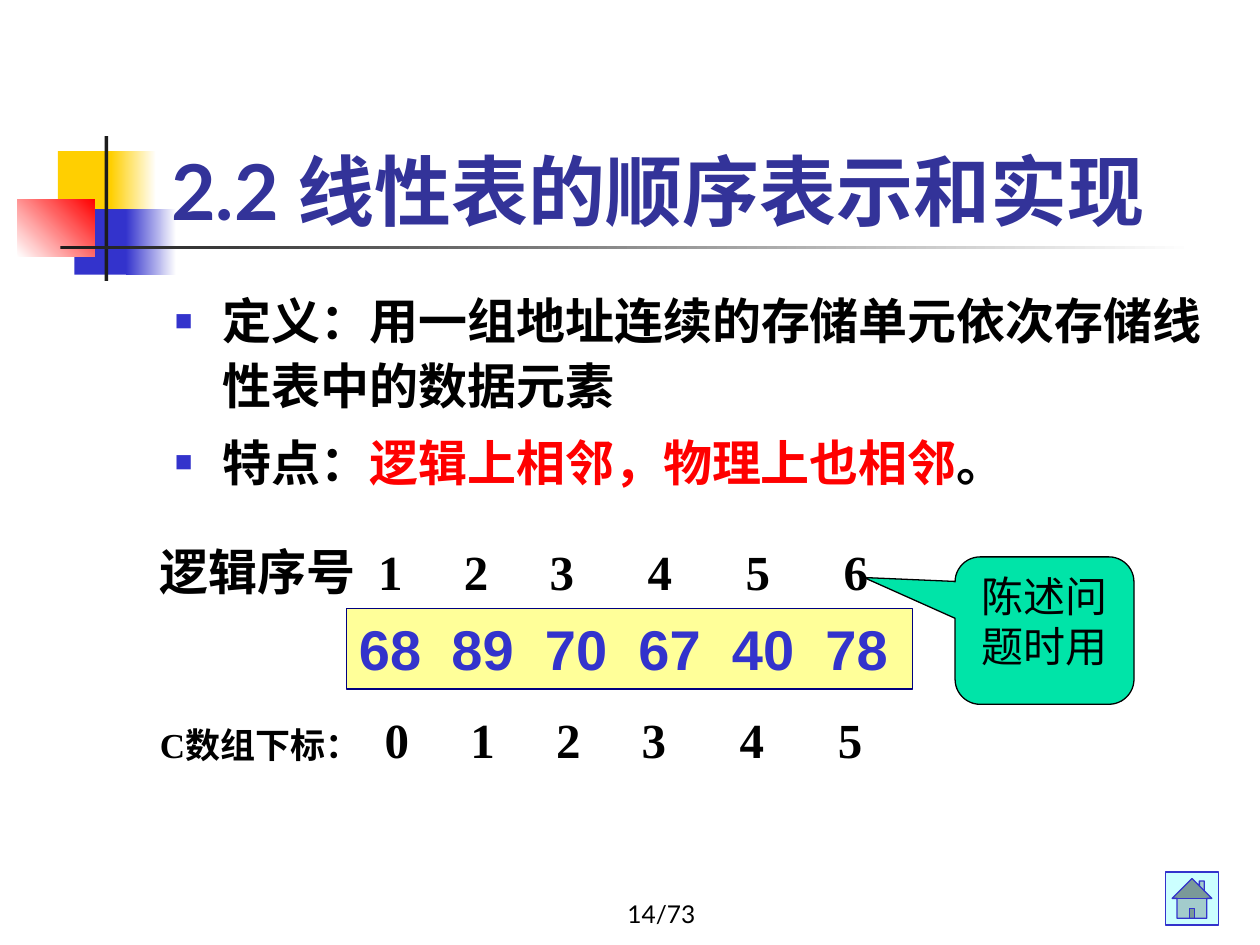
import dataclasses
import typing

import lxml.etree
import pptx
import pptx.dml.color
import pptx.enum.shapes
import pptx.enum.text
import pptx.oxml.ns
import pptx.util

COLOR = pptx.dml.color.RGBColor
SHAPE = pptx.enum.shapes.MSO_SHAPE
ALIGN = pptx.enum.text.PP_ALIGN
ANCHOR = pptx.enum.text.MSO_ANCHOR

BLACK = COLOR(0x00, 0x00, 0x00)
WHITE = COLOR(0xFF, 0xFF, 0xFF)
RED = COLOR(0xFF, 0x00, 0x00)
GOLD = COLOR(0xFF, 0xCF, 0x01)
BLUE = COLOR(0x33, 0x33, 0xCC)
INDIGO = COLOR(0x33, 0x33, 0x99)
NAVY = COLOR(0x00, 0x00, 0x80)
CHARCOAL = COLOR(0x1C, 0x1C, 0x1C)
YELLOW = COLOR(0xFF, 0xFF, 0x99)
GREEN = COLOR(0x00, 0xE4, 0xA8)
CYAN = COLOR(0xCC, 0xFF, 0xFF)

COLUMNS, ROWS = 100, 75
WIDTH, HEIGHT = pptx.util.Inches(10), pptx.util.Inches(7.5)


class Area(typing.NamedTuple):
    col: float
    row: float
    cols: float
    rows: float

    def lengths(self) -> tuple[int, int, int, int]:
        across, down = WIDTH / COLUMNS, HEIGHT / ROWS
        return (round(self.col * across), round(self.row * down),
                round(self.cols * across), round(self.rows * down))


class Run(typing.NamedTuple):
    text: str
    size: float
    font: str = "Lato"
    color: COLOR = BLACK
    bold: bool = True


@dataclasses.dataclass
class Block:
    area: Area
    start: COLOR
    end: COLOR | None = None
    angle: float = 0


@dataclasses.dataclass
class NumberRow:
    area: Area
    runs: list[Run]
    centres: list[float]
    inset: float = 1


def set_values(target: typing.Any, values: dict[str, typing.Any]) -> None:
    for name, value in values.items():
        setattr(target, name, value)


def write(paragraph: typing.Any, runs: list[Run]) -> None:
    for part in runs:
        run = paragraph.add_run()
        run.text = part.text
        set_values(run.font, {"size": pptx.util.Pt(part.size), "name": part.font, "bold": part.bold})
        run.font.color.rgb = part.color


def set_frame(shape: typing.Any, align: ALIGN = ALIGN.LEFT, anchor: ANCHOR = ANCHOR.TOP) -> typing.Any:
    frame = shape.text_frame
    set_values(frame, {"auto_size": pptx.enum.text.MSO_AUTO_SIZE.NONE,
                       "word_wrap": True, "vertical_anchor": anchor})
    frame.paragraphs[0].alignment = align
    return frame


def add_figure(slide: typing.Any, kind: SHAPE, area: Area, fill: COLOR, line: COLOR | None = None) -> typing.Any:
    figure = slide.shapes.add_shape(kind, *area.lengths())
    figure.shadow.inherit = False
    figure.fill.solid()
    figure.fill.fore_color.rgb = fill
    if line is None:
        figure.line.fill.background()
    else:
        figure.line.color.rgb = line
        figure.line.width = pptx.util.Pt(0.75)
    return figure


def add_block(slide: typing.Any, block: Block) -> None:
    figure = add_figure(slide, SHAPE.RECTANGLE, block.area, block.start)
    if block.end is not None:
        figure.fill.gradient()
        figure.fill.gradient_angle = block.angle
        for stop, color in zip(figure.fill.gradient_stops, (block.start, block.end)):
            stop.color.rgb = color


def add_element(parent: typing.Any, tag: str, **attributes: str) -> typing.Any:
    return lxml.etree.SubElement(parent, pptx.oxml.ns.qn(tag), attributes)


def add_bullet(paragraph: typing.Any) -> None:
    properties = paragraph._p.get_or_add_pPr()
    hang = round(3.8 * WIDTH / COLUMNS)
    properties.set("marL", str(hang))
    properties.set("indent", str(-hang))
    add_element(add_element(properties, "a:buClr"), "a:srgbClr", val=str(BLUE))
    add_element(properties, "a:buSzPct", val="60000")
    add_element(properties, "a:buFont", typeface="Arial")
    add_element(properties, "a:buChar", char="■")


def fill_number_row(shape: typing.Any, row: NumberRow) -> None:
    frame = set_frame(shape)
    frame.margin_left = round(row.inset * WIDTH / COLUMNS)
    paragraph = frame.paragraphs[0]
    tabs = add_element(paragraph._p.get_or_add_pPr(), "a:tabLst")
    for centre in row.centres:
        offset = round((centre - row.area.col - row.inset) * WIDTH / COLUMNS)
        add_element(tabs, "a:tab", pos=str(offset), algn="ctr")
    write(paragraph, row.runs)


def tabbed(values: typing.Iterable[int]) -> str:
    return "".join(f"\t{value}" for value in values)


def centres(first: float, narrow: int, wide: int) -> list[float]:
    places = [first]
    for gap in [6.8] * narrow + [7.78] * wide:
        places.append(places[-1] + gap)
    return places


ORNAMENT = [
    Block(Area(4.6, 12, 4.8, 5.2), GOLD),
    Block(Area(8.8, 12, 3.6, 5.2), GOLD, WHITE),
    Block(Area(5.9, 16.6, 4.6, 5.2), BLUE),
    Block(Area(10, 16.6, 4, 5.2), BLUE, WHITE),
    Block(Area(1.4, 15.8, 6.1, 4.6), WHITE, RED, 45),
    Block(Area(8.3, 10.8, 0.3, 11.5), CHARCOAL),
    Block(Area(4.8, 19.5, 90, 0.3), CHARCOAL, WHITE),
]
POINTS = [
    [Run("定义：用一组地址连续的存储单元依次存储线性表中的数据元素", 28)],
    [Run("特点：", 28),
     Run("逻辑上相邻，物理上也相邻", 28, "Times New Roman", RED),
     Run("。", 28, "Times New Roman")],
]
STORED = [68, 89, 70, 67, 40, 78]
CELLS = NumberRow(
    Area(27.5, 48.3, 44.9, 6.4),
    [Run(f"{STORED[0]}{tabbed(STORED[1:])}", 32, "Arial", BLUE)],
    [30.9 + 7.42 * place for place in range(1, len(STORED))])
LOGICAL = NumberRow(
    Area(11.7, 42.5, 58.4, 5.7),
    [Run("逻辑序号" + tabbed(range(1, 7)), 28, "Times New Roman")],
    centres(31, 2, 3))
SUBSCRIPTS = NumberRow(
    Area(9.2, 55.8, 61.7, 5.7),
    [Run("C数组下标：", 20, "Times New Roman"),
     Run(tabbed(range(6)), 28, "Times New Roman")],
    centres(31.5, 3, 2), 3.5)


def main() -> None:
    deck = pptx.Presentation()
    set_values(deck, {"slide_width": WIDTH, "slide_height": HEIGHT})
    slide = deck.slides.add_slide(deck.slide_layouts[5])

    for block in ORNAMENT:
        add_block(slide, block)

    page = slide.shapes.add_textbox(*Area(42.1, 69.2, 20.8, 5).lengths())
    write(set_frame(page, ALIGN.CENTER, ANCHOR.BOTTOM).paragraphs[0], [Run("14/73", 14, bold=False)])

    title = slide.shapes.title
    set_values(title, dict(zip(("left", "top", "width", "height"), Area(12.6, 6.7, 85.2, 12.5).lengths())))
    write(set_frame(title, anchor=ANCHOR.BOTTOM).paragraphs[0],
          [Run("2.2 线性表的顺序表示和实现", 44, color=INDIGO)])
    title.element.getparent().append(title.element)

    body = set_frame(slide.shapes.add_textbox(*Area(12.9, 22.1, 85, 18.8).lengths()))
    for number, runs in enumerate(POINTS):
        paragraph = body.add_paragraph() if number else body.paragraphs[0]
        set_values(paragraph, {"line_spacing": 1.1, "space_before": pptx.util.Pt(7 if number else 0)})
        add_bullet(paragraph)
        write(paragraph, runs)

    add_figure(slide, SHAPE.ACTION_BUTTON_HOME, Area(92.5, 69.2, 4.2, 4.2), CYAN, BLUE)
    fill_number_row(add_figure(slide, SHAPE.RECTANGLE, CELLS.area, YELLOW, NAVY), CELLS)
    for row in (LOGICAL, SUBSCRIPTS):
        fill_number_row(slide.shapes.add_textbox(*row.area.lengths()), row)

    usage = add_figure(slide, SHAPE.ROUNDED_RECTANGULAR_CALLOUT, Area(75.8, 44.2, 14.2, 11.7), GREEN, BLACK)
    for place, share in enumerate((-1.01, -0.36, 0.17)):
        usage.adjustments[place] = share
    write(set_frame(usage, ALIGN.CENTER).paragraphs[0], [Run("陈述问题时用", 24, bold=False)])

    deck.save("out.pptx")


if __name__ == "__main__":
    main()
